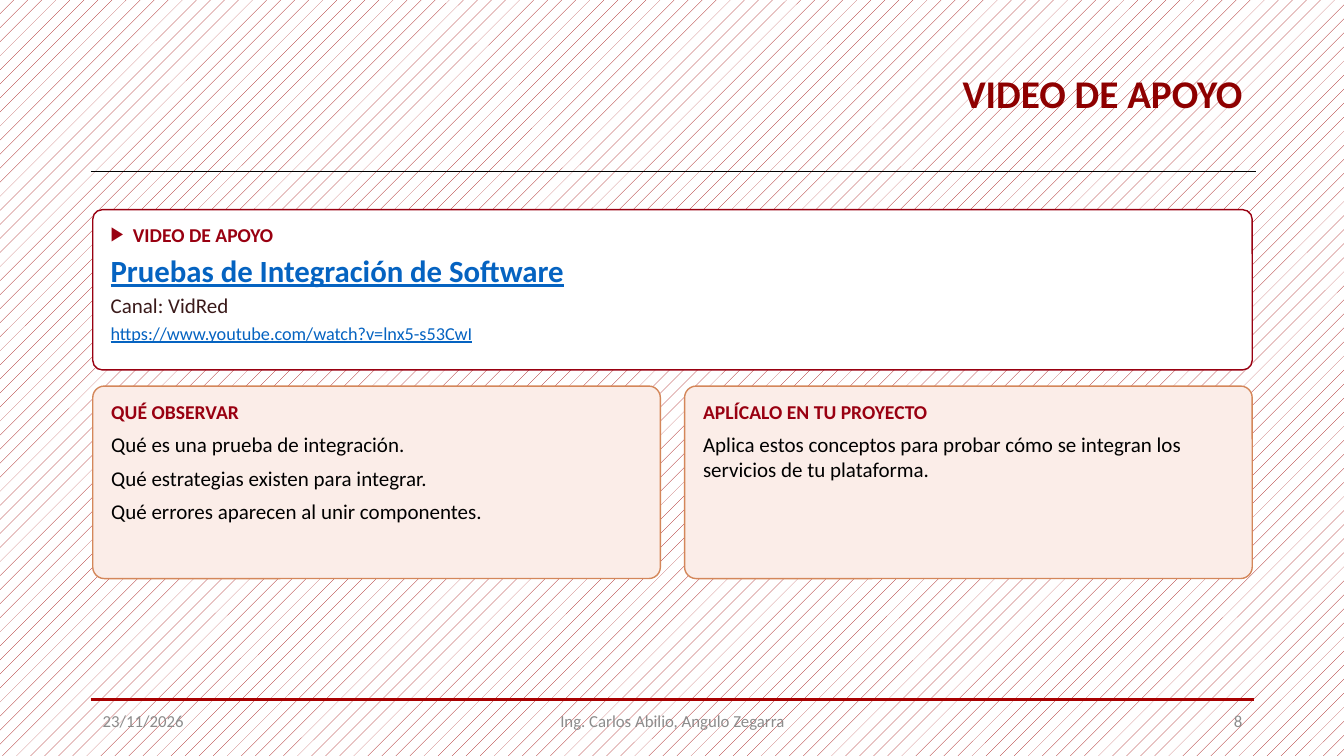
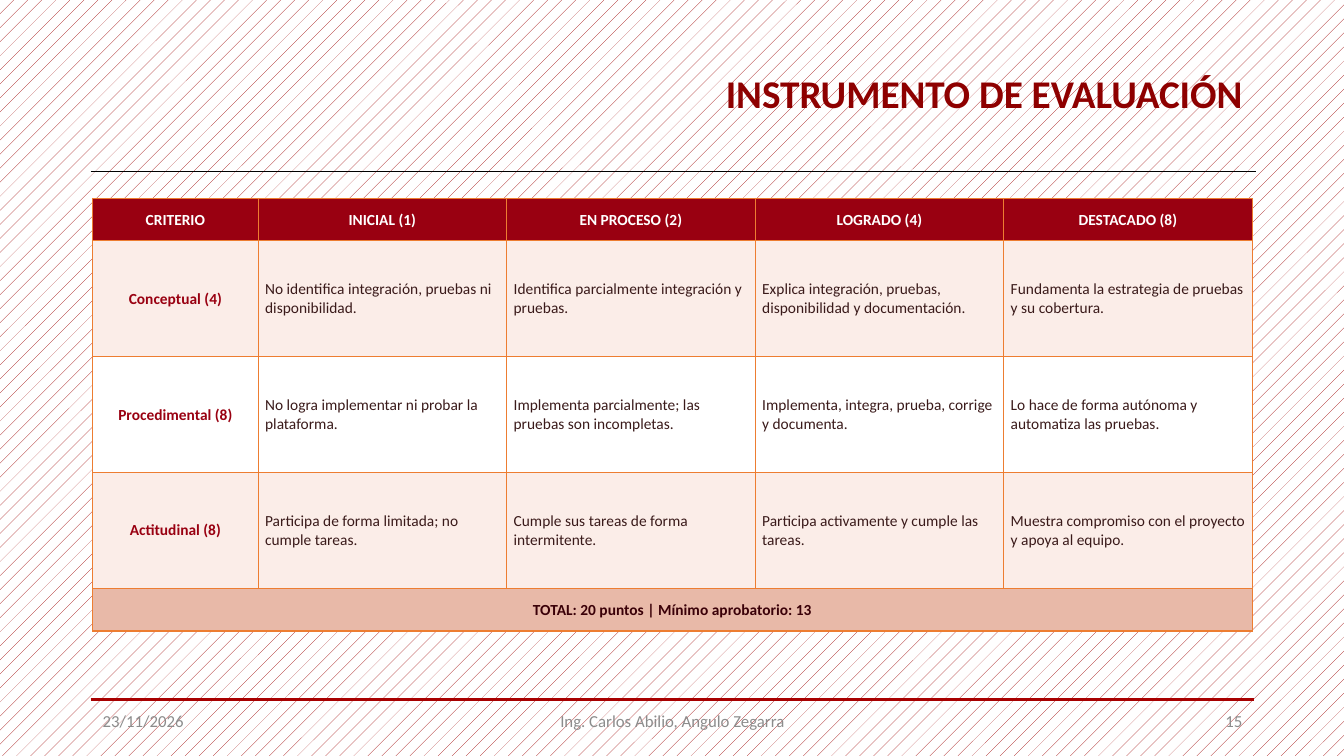
"""Builds two course slides: a support video and an assessment rubric."""
from lxml import etree
from pptx import Presentation
from pptx.dml.color import RGBColor
from pptx.enum.dml import MSO_PATTERN
from pptx.enum.shapes import MSO_CONNECTOR, MSO_SHAPE
from pptx.enum.text import MSO_ANCHOR, PP_ALIGN
from pptx.oxml.ns import qn
from pptx.util import Inches, Pt

LEFT, CENTER, RIGHT = PP_ALIGN.LEFT, PP_ALIGN.CENTER, PP_ALIGN.RIGHT
MIDDLE, TOP = MSO_ANCHOR.MIDDLE, MSO_ANCHOR.TOP
ROUNDED, STRAIGHT = MSO_SHAPE.ROUNDED_RECTANGLE, MSO_CONNECTOR.STRAIGHT
PATTERN = MSO_PATTERN.PERCENT_5

FONT = "Calibri"
WHITE = RGBColor(0xFF, 0xFF, 0xFF)
BLACK = RGBColor(0x00, 0x00, 0x00)
GRAY = RGBColor(0x8C, 0x8C, 0x8C)
PATTERN_RED = RGBColor(0x9E, 0x00, 0x00)
RULE_RED = RGBColor(0xA8, 0x00, 0x00)
TITLE_RED = RGBColor(0x8E, 0x00, 0x00)
CRIMSON = RGBColor(0x99, 0x00, 0x11)
BROWN = RGBColor(0x3A, 0x1A, 0x1A)
WINE = RGBColor(0x3A, 0x00, 0x08)
LINK_BLUE = RGBColor(0x05, 0x63, 0xC1)
CREAM = RGBColor(0xFB, 0xED, 0xE8)
SALMON = RGBColor(0xE8, 0xB9, 0xA8)
COPPER = RGBColor(0xD4, 0x87, 0x5A)
ORANGE = RGBColor(0xED, 0x7D, 0x31)

LEFT_EDGE, CONTENT_W, GAP = 0.92, 11.5, 0.24

DATE = "23/11/2026"
AUTHOR = "Ing. Carlos Abilio, Angulo Zegarra"

VIDEO_TITLE = "VIDEO DE APOYO"
VIDEO_NAME = "Pruebas de Integración de Software"
VIDEO_CHANNEL = "Canal: VidRed"
VIDEO_URL = "https://www.youtube.com/watch?v=lnx5-s53CwI"
CARDS = [
    ("QUÉ OBSERVAR", [
        "Qué es una prueba de integración.",
        "Qué estrategias existen para integrar.",
        "Qué errores aparecen al unir componentes.",
    ]),
    ("APLÍCALO EN TU PROYECTO", [
        "Aplica estos conceptos para probar cómo se integran los servicios de tu plataforma.",
    ]),
]

RUBRIC_TITLE = "INSTRUMENTO DE EVALUACIÓN"
HEADER = ["CRITERIO", "INICIAL (1)", "EN PROCESO (2)", "LOGRADO (4)", "DESTACADO (8)"]
CRITERIA = [
    ["Conceptual (4)", "No identifica integración, pruebas ni disponibilidad.",
     "Identifica parcialmente integración y pruebas.",
     "Explica integración, pruebas, disponibilidad y documentación.",
     "Fundamenta la estrategia de pruebas y su cobertura."],
    ["Procedimental (8)", "No logra implementar ni probar la plataforma.",
     "Implementa parcialmente; las pruebas son incompletas.",
     "Implementa, integra, prueba, corrige y documenta.",
     "Lo hace de forma autónoma y automatiza las pruebas."],
    ["Actitudinal (8)", "Participa de forma limitada; no cumple tareas.",
     "Cumple sus tareas de forma intermitente.",
     "Participa activamente y cumple las tareas.",
     "Muestra compromiso con el proyecto y apoya al equipo."],
]
TOTAL = "TOTAL: 20 puntos | Mínimo aprobatorio: 13"
CRITERION_W, BAND_H, CRITERION_H = 1.64, 0.42, 1.15


def style(p, size, color, bold=False, underline=False, align=LEFT, before=0):
    p.alignment = align
    if before:
        p.space_before = Pt(before)
    for r in p.runs:
        r.font.name = FONT
        r.font.size = Pt(size)
        r.font.color.rgb = color
        r.font.bold = bold
        r.font.underline = underline


def add_text(s, box, text, size, color, align=LEFT, bold=False):
    tf = s.shapes.add_textbox(*map(Inches, box)).text_frame
    tf.word_wrap = True
    tf.vertical_anchor = MIDDLE
    p = tf.paragraphs[0]
    p.text = text
    style(p, size, color, bold, align=align)
    return p


def add_rule(s, right, y, color, width):
    line = s.shapes.add_connector(
        STRAIGHT, Inches(0.9), Inches(y), Inches(right), Inches(y))
    line.line.color.rgb = color
    line.line.width = Pt(width)
    etree.SubElement(line.element.spPr, qn("a:effectLst"))


def add_slide(prs, title, number):
    s = prs.slides.add_slide(prs.slide_layouts[6])
    fill = s.background.fill
    fill.patterned()
    fill.pattern = PATTERN
    fill.fore_color.rgb = PATTERN_RED
    fill.back_color.rgb = WHITE
    add_rule(s, 12.44, 6.94, RULE_RED, 2)
    add_rule(s, 12.46, 1.7, BLACK, 0.5)
    p = add_text(s, (4, 0.4, 8.42, 1.1), title, 28, TITLE_RED, RIGHT, True)
    p.line_spacing = 0.9
    footers = [(LEFT_EDGE, 3, DATE, LEFT), (4.42, 4.5, AUTHOR, CENTER),
               (9.42, 3, str(number), RIGHT)]
    for x, w, text, align in footers:
        add_text(s, (x, 6.95, w, 0.4), text, 12, GRAY, align)
    return s


def add_card(s, box, fill, border, heading, lines):
    sp = s.shapes.add_shape(ROUNDED, *map(Inches, box))
    sp.shadow.inherit = False
    sp.adjustments[0] = 0.06
    sp.fill.solid()
    sp.fill.fore_color.rgb = fill
    sp.line.color.rgb = border
    sp.line.width = Pt(1)
    tf = sp.text_frame
    tf.word_wrap = True
    tf.vertical_anchor = TOP
    tf.margin_left = tf.margin_right = Inches(0.15)
    tf.margin_top = tf.margin_bottom = Inches(0.1)
    tf.text = heading
    style(tf.paragraphs[0], 14, CRIMSON, True)
    for text, look in lines:
        p = tf.add_paragraph()
        p.text = text
        style(p, **look)
    return tf.paragraphs[0]


def add_bullet(p, char, indent):
    pPr = p._p.get_or_add_pPr()
    pPr.set("marL", str(Inches(indent)))
    pPr.set("indent", str(-Inches(indent)))
    etree.SubElement(pPr, qn("a:buFont"), typeface=FONT)
    etree.SubElement(pPr, qn("a:buChar"), char=char)


def build_video(prs):
    s = add_slide(prs, VIDEO_TITLE, 8)
    lines = [
        (VIDEO_NAME, dict(size=22, color=LINK_BLUE, bold=True, underline=True, before=4)),
        (VIDEO_CHANNEL, dict(size=15, color=BROWN, before=3)),
        (VIDEO_URL, dict(size=13, color=LINK_BLUE, underline=True, before=3)),
    ]
    heading = add_card(s, (LEFT_EDGE, 2.08, CONTENT_W, 1.59), WHITE, CRIMSON,
                       VIDEO_TITLE, lines)
    add_bullet(heading, "▶", 0.22)
    w = (CONTENT_W - GAP) / 2
    body = dict(size=15, color=BLACK, before=6)
    for i, (title, texts) in enumerate(CARDS):
        add_card(s, (LEFT_EDGE + i * (w + GAP), 3.83, w, 1.91), CREAM, COPPER,
                 title, [(text, body) for text in texts])


def format_cell(cell, fill, color, bold, align):
    cell.vertical_anchor = MIDDLE
    cell.margin_left = cell.margin_right = Inches(0.07)
    cell.margin_top = cell.margin_bottom = Inches(0.04)
    style(cell.text_frame.paragraphs[0], 11, color, bold, align=align)
    cell.fill.solid()
    cell.fill.fore_color.rgb = fill
    tcPr = cell._tc.get_or_add_tcPr()
    for i, side in enumerate(("lnL", "lnR", "lnT", "lnB")):
        ln = etree.Element(qn(f"a:{side}"), w=str(Pt(1)))
        solid = etree.SubElement(ln, qn("a:solidFill"))
        etree.SubElement(solid, qn("a:srgbClr"), val=str(ORANGE))
        tcPr.insert(i, ln)


def build_rubric(prs):
    s = add_slide(prs, RUBRIC_TITLE, 15)
    rows = [HEADER, *CRITERIA, [TOTAL] + [""] * (len(HEADER) - 1)]
    last = len(rows) - 1
    heights = [BAND_H] + [CRITERION_H] * len(CRITERIA) + [BAND_H]
    level_w = (CONTENT_W - CRITERION_W) / (len(HEADER) - 1)
    table = s.shapes.add_table(
        len(rows), len(HEADER), Inches(LEFT_EDGE), Inches(1.97),
        Inches(CONTENT_W), Inches(sum(heights))).table
    for j, column in enumerate(table.columns):
        column.width = Inches(level_w if j else CRITERION_W)
    for i, texts in enumerate(rows):
        table.rows[i].height = Inches(heights[i])
        for j, text in enumerate(texts):
            cell = table.cell(i, j)
            cell.text = text
            if i == 0:
                look = (CRIMSON, WHITE, True, CENTER)
            elif i == last:
                look = (SALMON, WINE, True, CENTER)
            else:
                fill = CREAM if i % 2 else WHITE
                look = (fill, BROWN, False, LEFT) if j else (fill, CRIMSON, True, CENTER)
            format_cell(cell, *look)
    table.cell(last, 0).merge(table.cell(last, len(HEADER) - 1))


def main():
    prs = Presentation()
    prs.slide_width, prs.slide_height = Inches(13.33), Inches(7.5)
    build_video(prs)
    build_rubric(prs)
    prs.save("out.pptx")


if __name__ == "__main__":
    main()
